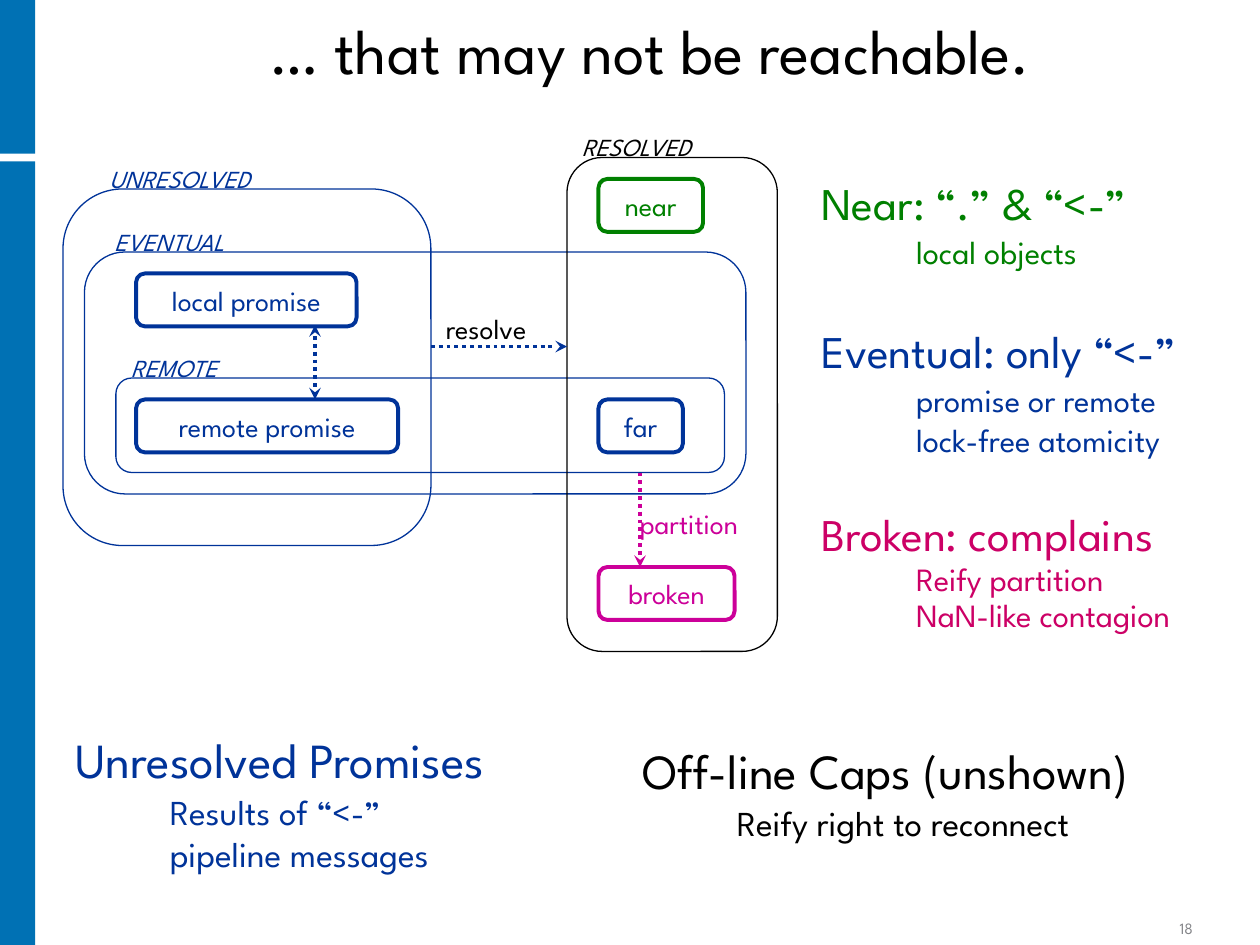
from pptx import Presentation
from pptx.dml.color import RGBColor
from pptx.enum.dml import MSO_LINE
from pptx.enum.shapes import MSO_CONNECTOR, MSO_SHAPE
from pptx.enum.text import MSO_ANCHOR, MSO_AUTO_SIZE, PP_ALIGN
from pptx.oxml.ns import qn
from pptx.util import Inches, Pt
from lxml.etree import SubElement

BLACK = RGBColor(0x00, 0x00, 0x00)
WHITE = RGBColor(0xFF, 0xFF, 0xFF)
BAR_BLUE = RGBColor(0x00, 0x71, 0xB4)
NAVY = RGBColor(0x00, 0x33, 0x99)
GREEN = RGBColor(0x00, 0x80, 0x00)
MAGENTA = RGBColor(0xCC, 0x00, 0x99)
CRIMSON = RGBColor(0xCC, 0x00, 0x66)
GRAY = RGBColor(0x84, 0x85, 0x89)


def write(paragraph, text, *, size, color, font="League Spartan", italic=None, align=None):
    """Add one formatted run to a paragraph."""
    run = paragraph.add_run()
    run.text = text
    run.font.name, run.font.size, run.font.italic = font, Pt(size), italic
    run.font.color.rgb = color
    if align is not None:
        paragraph.alignment = align


def inches(values):
    return [Inches(value) for value in values]


class StateDiagram:
    """Holds the current slide and the style of its elements."""

    corner = 0.167
    state_height = 0.42
    frame_width = 0.75
    heavy_width = 2.25

    def __init__(self, slide):
        self.slide = slide

    def place(self, placeholder, box):
        placeholder.left, placeholder.top, placeholder.width, placeholder.height = inches(box)
        placeholder.text_frame.auto_size = MSO_AUTO_SIZE.NONE
        return placeholder.text_frame

    def title(self, text, box):
        frame = self.place(self.slide.shapes.title, box)
        frame.vertical_anchor = MSO_ANCHOR.BOTTOM
        heading = frame.paragraphs[0]
        heading.line_spacing = 0.9
        write(heading, text, size=36, color=BLACK, align=PP_ALIGN.CENTER)

    def text_box(self, box):
        frame = self.slide.shapes.add_textbox(*inches(box)).text_frame
        frame.word_wrap = True
        return frame

    def label(self, text, box, size=14, color=NAVY, italic=True):
        frame = self.text_box(box)
        frame.word_wrap = False
        frame.auto_size = MSO_AUTO_SIZE.SHAPE_TO_FIT_TEXT
        write(frame.paragraphs[0], text, size=size, color=color, italic=italic)

    def topics(self, frame, topics, head_size, point_size, gap=10.5):
        """Fill a frame with headings and their indented points."""
        paragraph = frame.paragraphs[0]
        for number, (heading, points, color, spacing) in enumerate(topics):
            for level, text in [(0, heading)] + [(1, point) for point in points]:
                if paragraph is None:
                    paragraph = frame.add_paragraph()
                paragraph.level = level
                paragraph.line_spacing = spacing
                before = 2.5 if level else (gap if number else 10.5)
                paragraph.space_before = Pt(before)
                paragraph.space_after = Pt(2.5 if level else 3.5)
                # Hanging indent without a bullet
                properties = paragraph._p.get_or_add_pPr()
                properties.set("marL", str(Inches(1 if level else 0.25)))
                properties.set("indent", str(Inches(-0.25)))
                SubElement(properties, qn("a:buNone"))
                write(paragraph, text, size=point_size if level else head_size, color=color)
                paragraph = None

    def bar(self, box):
        bar = self.slide.shapes.add_shape(MSO_SHAPE.RECTANGLE, *inches(box))
        bar.shadow.inherit = False
        bar.fill.solid()
        bar.fill.fore_color.rgb = BAR_BLUE
        bar.line.fill.background()

    def frame(self, box, color=NAVY, width=frame_width):
        outline = self.slide.shapes.add_shape(MSO_SHAPE.ROUNDED_RECTANGLE, *inches(box))
        outline.adjustments[0] = self.corner
        outline.shadow.inherit = False
        outline.fill.background()
        outline.line.color.rgb = color
        outline.line.width = Pt(width)
        return outline

    def state(self, text, left, top, width, color=NAVY):
        state = self.frame((left, top, width, self.state_height), color, self.heavy_width)
        state.fill.solid()
        state.fill.fore_color.rgb = WHITE
        state.text_frame.word_wrap = False
        state.text_frame.vertical_anchor = MSO_ANCHOR.MIDDLE
        write(state.text_frame.paragraphs[0], text, size=16, color=color, align=PP_ALIGN.CENTER)

    def arrow(self, start, end, color=NAVY, ends=("tailEnd",)):
        arrow = self.slide.shapes.add_connector(MSO_CONNECTOR.STRAIGHT, *inches(start + end))
        arrow.line.color.rgb = color
        arrow.line.width = Pt(self.heavy_width)
        arrow.line.dash_style = MSO_LINE.ROUND_DOT
        properties = arrow._element.spPr
        for tip in ends:
            SubElement(properties.find(qn("a:ln")), qn(f"a:{tip}"), type="stealth")
        SubElement(properties, qn("a:effectLst"))


def main():
    prs = Presentation()
    prs.slide_width, prs.slide_height = Inches(10), Inches(7.5)
    slide = prs.slides.add_slide(prs.slide_layouts[1])
    diagram = StateDiagram(slide)

    # Side bars and title
    diagram.bar((0, 0, 0.28, 1.22))
    diagram.bar((0, 1.28, 0.28, 6.22))
    diagram.title("… that may not be reachable.", (0.33, 0.08, 9.67, 0.67))

    # Kinds of reference
    kinds = diagram.place(slide.placeholders[1], (6.42, 1.42, 3.42, 4.42))
    diagram.topics(kinds, [
        ("Near: “.” & “<-”", ["local objects"], GREEN, 0.8),
        ("Eventual: only “<-”", ["promise or remote", "lock-free atomicity"], NAVY, 0.8),
        ("Broken: complains", ["Reify partition", "NaN-like contagion"], CRIMSON, 0.7),
    ], head_size=25.9, point_size=18.5, gap=33.5)

    # Notes below the diagram
    for box, topic in [
        ((0.5, 5.83, 4.17, 1.17),
         ("Unresolved Promises", ["Results of “<-”", "pipeline messages"], NAVY, 0.8)),
        ((5, 5.92, 4.67, 1.17),
         ("Off-line Caps (unshown)", ["Reify right to reconnect"], BLACK, 0.8)),
    ]:
        diagram.topics(diagram.text_box(box), [topic], head_size=28, point_size=20)

    # Group labels
    diagram.label("UNRESOLVED", (0.77, 1.25, 1.35, 0.34))
    diagram.label("EVENTUAL", (0.81, 1.75, 1.08, 0.34))
    diagram.label("REMOTE", (0.94, 2.75, 0.91, 0.34))
    diagram.label("RESOLVED", (4.52, 1, 1.08, 0.34), color=BLACK)

    # States: promises on the left, resolved references on the right
    promise_left, resolved_left = 1.08, 4.75
    diagram.state("local promise", promise_left, 2.17, 1.75)
    diagram.state("remote promise", promise_left, 3.17, 2.08)
    diagram.state("near", resolved_left, 1.42, 0.83, GREEN)
    diagram.state("far", resolved_left, 3.17, 0.67)
    diagram.state("broken", resolved_left, 4.5, 1.08, MAGENTA)

    # Group frames: unresolved, eventual, remote, resolved
    diagram.frame((0.5, 1.5, 2.92, 2.83))
    diagram.frame((0.67, 2, 5.25, 1.92))
    diagram.frame((0.92, 3, 4.83, 0.75))
    diagram.frame((4.5, 1.25, 1.67, 3.92), BLACK)

    # Transitions
    diagram.arrow((2.5, 2.58), (2.5, 3.17), ends=("headEnd", "tailEnd"))
    diagram.arrow((3.42, 2.75), (4.5, 2.75))
    diagram.arrow((5.08, 3.75), (5.08, 4.5), MAGENTA)
    diagram.label("resolve", (3.44, 2.42, 0.95, 0.37), size=16, color=BLACK, italic=None)
    diagram.label("partition", (4.98, 3.97, 1.1, 0.37), size=16, color=MAGENTA, italic=None)

    # Slide number
    number = diagram.text_box((9, 7.25, 0.83, 0.24))
    number.vertical_anchor = MSO_ANCHOR.BOTTOM
    write(number.paragraphs[0], "18", size=9, color=GRAY, align=PP_ALIGN.CENTER)

    prs.save("out.pptx")


if __name__ == "__main__":
    main()
